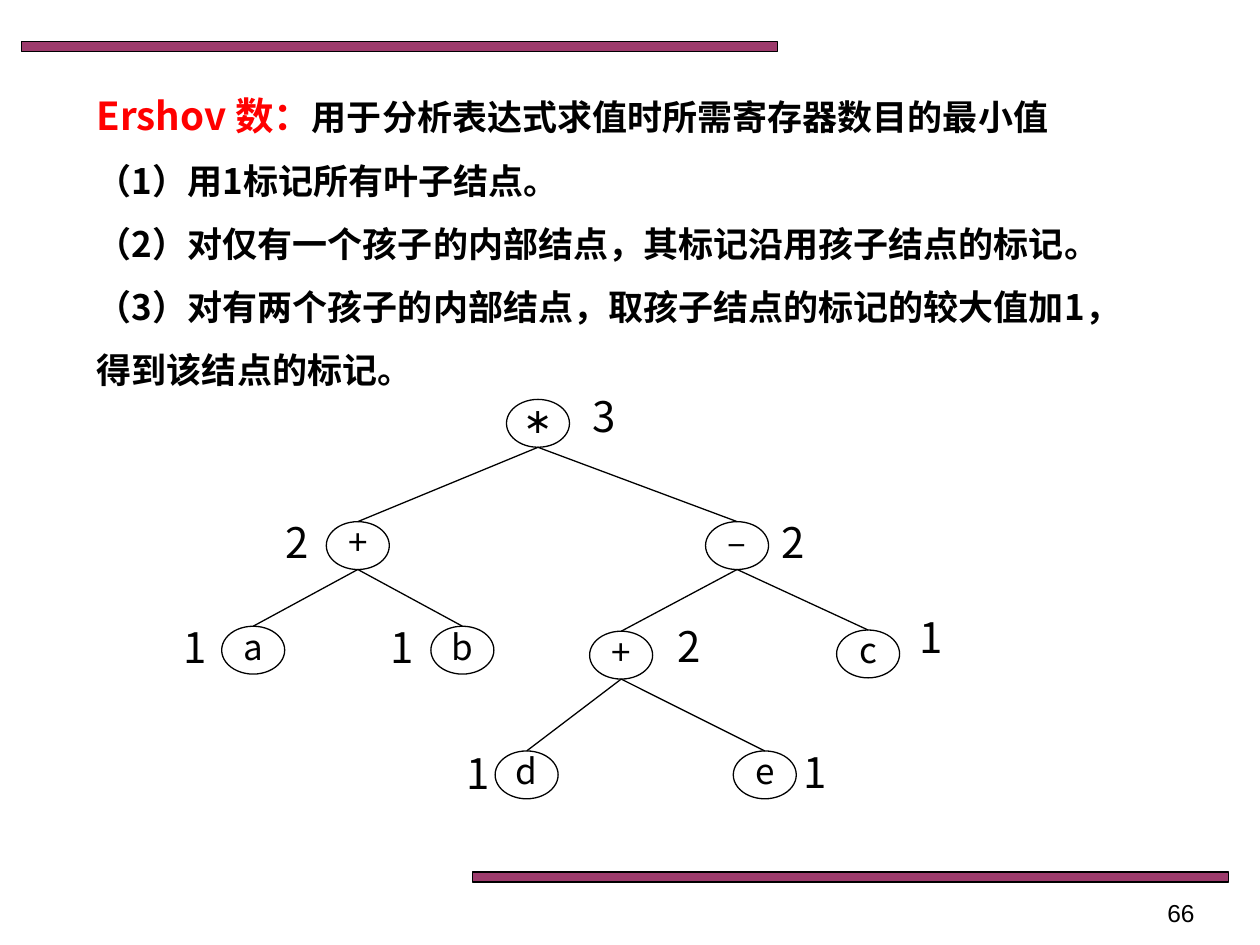
from lxml import etree
from pptx import Presentation
from pptx.dml.color import RGBColor
from pptx.enum.shapes import MSO_CONNECTOR as Connector, MSO_SHAPE as Shape
from pptx.enum.text import MSO_ANCHOR as Anchor, PP_ALIGN as Align
from pptx.oxml.ns import qn
from pptx.util import Inches, Pt

BLACK = RGBColor(0, 0, 0)
RED = RGBColor(0xFF, 0, 0)
PLUM = RGBColor(0x99, 0x33, 0x66)
CJK = "Noto Sans CJK SC"

NODE_W, NODE_H = Inches(0.5), Inches(0.38)
LABEL_W, LABEL_H = Inches(0.39), Inches(0.32)

HEADING = ("Ershov 数：", "用于分析表达式求值时所需寄存器数目的最小值")
RULES = [
    "（1）用1标记所有叶子结点。",
    "（2）对仅有一个孩子的内部结点，其标记沿用孩子结点的标记。",
    "（3）对有两个孩子的内部结点，取孩子结点的标记的较大值加1，得到该结点的标记。",
]

# symbol, node offset, Ershov number, number offset, parent
TREE = {
    "root": ("∗", (2.66, 0), "3", (3.24, 0.01), None),
    "sum": ("+", (1.23, 0.97), "2", (0.81, 1.01), "root"),
    "difference": ("–", (4.24, 0.97), "2", (4.74, 1.01), "root"),
    "a": ("a", (0.4, 1.8), "1", (0, 1.84), "sum"),
    "b": ("b", (2.06, 1.8), "1", (1.64, 1.84), "sum"),
    "inner sum": ("+", (3.32, 1.84), "2", (3.92, 1.83), "difference"),
    "c": ("c", (5.28, 1.83), "1", (5.84, 1.76), "difference"),
    "d": ("d", (2.57, 2.79), "1", (2.24, 2.84), "inner sum"),
    "e": ("e", (4.46, 2.79), "1", (4.92, 2.83), "inner sum"),
}


def style(font, size, color=BLACK, name=CJK, bold=None):
    font.size, font.name, font.bold = Pt(size), name, bold
    font.color.rgb = color
    latin = font._element.find(qn("a:latin")) if hasattr(font, "_element") else font._rPr.find(qn("a:latin"))
    east_asian = etree.Element(qn("a:ea"), typeface=name)
    latin.addnext(east_asian)


def outline(line):
    line.color.rgb = BLACK
    line.width = Pt(0.75)


def add_bar(slide, left, top, width, height):
    bar = slide.shapes.add_shape(Shape.RECTANGLE, left, top, width, height)
    bar.shadow.inherit = False
    bar.fill.solid()
    bar.fill.fore_color.rgb = PLUM
    tint = bar._element.spPr.find(qn("a:solidFill"))[0]
    etree.SubElement(tint, qn("a:alpha"), val="96000")
    outline(bar.line)


def add_rules(slide, left, top, width, height):
    frame = slide.shapes.add_textbox(left, top, width, height).text_frame
    frame.word_wrap = True
    heading = frame.paragraphs[0]
    heading.line_spacing = 1.5
    for text, size, color in zip(HEADING, (22, 20), (RED, BLACK)):
        run = heading.add_run()
        run.text = text
        style(run.font, size, color, bold=True)
    for text in RULES:
        rule = frame.add_paragraph()
        rule.text = text
        rule.line_spacing = 1.5
        style(rule.font, 20, bold=True)


def fill_symbol(frame, text, size, align):
    frame.margin_left = frame.margin_right = Inches(0.1)
    frame.margin_top = frame.margin_bottom = 0
    frame.word_wrap = False
    symbol = frame.paragraphs[0]
    symbol.text = text
    symbol.alignment = align
    symbol.line_spacing = 0.8
    style(symbol.font, size)


def add_node(slide, left, top, text):
    node = slide.shapes.add_shape(Shape.OVAL, left, top, NODE_W, NODE_H)
    node.shadow.inherit = False
    node.fill.background()
    outline(node.line)
    node.text_frame.vertical_anchor = Anchor.MIDDLE
    fill_symbol(node.text_frame, text, 20, Align.CENTER)
    return node


def add_edge(slide, parent, child):
    edge = slide.shapes.add_connector(
        Connector.STRAIGHT,
        parent.left + NODE_W // 2, parent.top + NODE_H,
        child.left + NODE_W // 2, child.top)
    outline(edge.line)
    etree.SubElement(edge._element.spPr, qn("a:effectLst"))


def add_tree(slide, left, top):
    nodes = {}
    for key, (symbol, (x, y), number, (label_x, label_y), parent) in TREE.items():
        nodes[key] = add_node(slide, left + Inches(x), top + Inches(y), symbol)
        label = slide.shapes.add_textbox(
            left + Inches(label_x), top + Inches(label_y), LABEL_W, LABEL_H)
        fill_symbol(label.text_frame, number, 24, Align.LEFT)
        if parent:
            add_edge(slide, nodes[parent], nodes[key])


def add_page_number(slide, left, top, width, height):
    frame = slide.shapes.add_textbox(left, top, width, height).text_frame
    frame.word_wrap = True
    number = frame.paragraphs[0]
    number.text = "66"
    number.alignment = Align.RIGHT
    style(number.font, 14, name="Arial")


def main():
    deck = Presentation()
    deck.slide_width, deck.slide_height = Inches(10), Inches(7.5)
    slide = deck.slides.add_slide(deck.slide_layouts[6])
    add_bar(slide, Inches(0.17), Inches(0.33), Inches(6), Inches(0.08))
    add_bar(slide, Inches(3.75), Inches(6.92), Inches(6), Inches(0.08))
    add_rules(slide, Inches(0.67), Inches(0.5), Inches(8.51), Inches(2.68))
    add_tree(slide, Inches(1.36), Inches(3.17))
    add_page_number(slide, Inches(7.25), Inches(7.08), Inches(2.33), Inches(0.27))
    deck.save("out.pptx")


if __name__ == "__main__":
    main()
